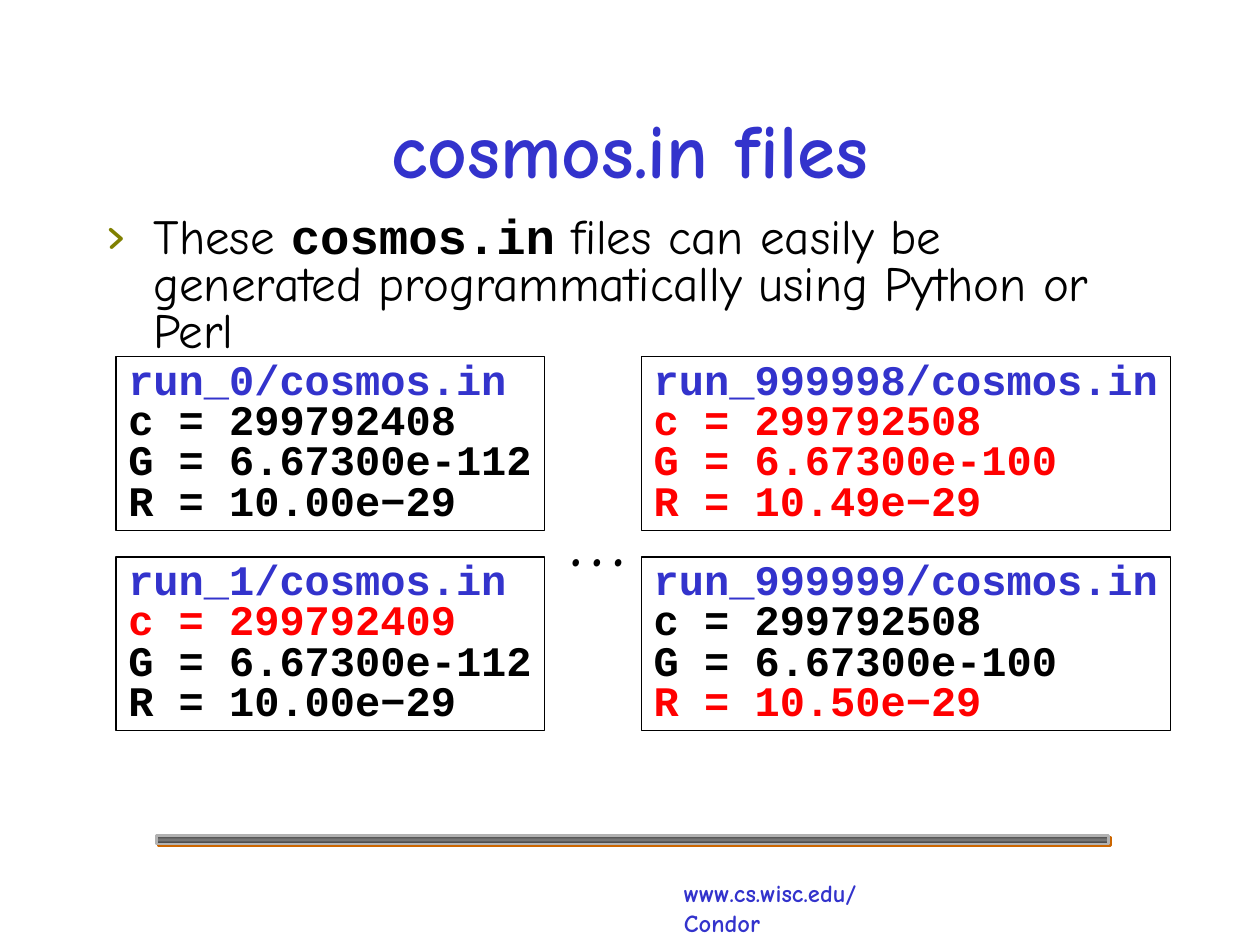
from copy import deepcopy

from lxml.etree import SubElement
from pptx import Presentation
from pptx.dml.color import RGBColor
from pptx.enum.shapes import MSO_SHAPE as Shape
from pptx.enum.text import MSO_ANCHOR as Anchor, MSO_AUTO_SIZE as Fit, PP_ALIGN as Align
from pptx.oxml.ns import qn
from pptx.util import Inches, Pt

BLUE = RGBColor(0x33, 0x33, 0xCC)
BLACK = RGBColor(0, 0, 0)
RED = RGBColor(0xFF, 0, 0)
OLIVE = RGBColor(0x80, 0x80, 0)
DARK = RGBColor(0x36, 0x36, 0x36)
GRAY = RGBColor(0x77, 0x77, 0x77)
SILVER = RGBColor(0xB2, 0xB2, 0xB2)
ORANGE = RGBColor(0xCC, 0x66, 0)
SANS, MONO = "Comic Neue", "Courier New"

# The slide is a grid of square cells
COLS, ROWS = 100, 75
CELL = Inches(0.1)


def place(box):
    """Turn columns and rows into lengths."""
    return [round(n * CELL) for n in box]


def add_run(para, text, size, color, font=SANS, bold=False):
    run = para.add_run()
    run.text = text
    run.font.size, run.font.name, run.font.bold = Pt(size), font, bold
    run.font.color.rgb = color


def add_text(slide, box, wrap=False):
    shape = slide.shapes.add_textbox(*place(box))
    frame = shape.text_frame
    frame.word_wrap = wrap
    frame.auto_size = Fit.NONE if wrap else Fit.SHAPE_TO_FIT_TEXT
    return frame.paragraphs[0]


def add_title(slide, box, text):
    title = slide.shapes.title
    title.left, title.top, title.width, title.height = place(box)
    frame = title.text_frame
    frame.auto_size, frame.vertical_anchor = Fit.NONE, Anchor.MIDDLE
    para = frame.paragraphs[0]
    para.alignment = Align.CENTER
    add_run(para, text, 44, BLUE, bold=True)


def add_point(slide, box, parts):
    """Bulleted sentence; parts pair each text with its font."""
    para = add_text(slide, box, wrap=True)
    para.line_spacing = 0.8
    props = para._p.get_or_add_pPr()
    props.set("marL", str(Inches(0.37)))
    props.set("indent", str(-Inches(0.37)))
    tint = SubElement(props, qn("a:buClr"))
    SubElement(tint, qn("a:srgbClr"), val=str(OLIVE))
    SubElement(props, qn("a:buSzPct"), val="120000")
    SubElement(props, qn("a:buFont"), typeface=SANS)
    SubElement(props, qn("a:buChar"), char="›")
    for text, font in parts:
        add_run(para, text, 28, BLACK, font, bold=font == MONO)


def add_file(slide, box, name, values, changed):
    """Framed listing of one input file; changed keys are red."""
    frame = slide.shapes.add_shape(Shape.RECTANGLE, *place(box))
    frame.shadow.inherit = False
    frame.fill.background()
    frame.line.color.rgb, frame.line.width = BLACK, Pt(0.75)
    text = frame.text_frame
    text.word_wrap, text.auto_size = False, Fit.SHAPE_TO_FIT_TEXT
    text.vertical_anchor = Anchor.TOP
    lines = [(f"{name}/cosmos.in", BLUE)]
    for key, value in zip("cGR", values):
        lines.append((f"{key} = {value}", RED if key in changed else BLACK))
    for i, (line, color) in enumerate(lines):
        para = text.add_paragraph() if i else text.paragraphs[0]
        para.alignment, para.line_spacing = Align.LEFT, 0.8
        add_run(para, line, 24, color, MONO, bold=True)


def add_files(slide, box):
    """Two columns of listings with dots between them."""
    left, top, width, height = box
    tall, step = 13.8, height - 13.8
    groups = [
        (left, 34, [
            ("run_0", ("299792408", "6.67300e-112", "10.00e−29"), ""),
            ("run_1", ("299792409", "6.67300e-112", "10.00e−29"), "c")]),
        (left + width - 42, 42, [
            ("run_999998", ("299792508", "6.67300e-100", "10.49e−29"), "cGR"),
            ("run_999999", ("299792508", "6.67300e-100", "10.50e−29"), "R")]),
    ]
    for x, wide, files in groups:
        for row, item in enumerate(files):
            add_file(slide, (x, top + row * step, wide, tall), *item)
    dots = add_text(slide, (left + 35, top + 7.5, 6.4, 11))
    dots.alignment, dots.line_spacing = Align.CENTER, 1.25
    add_run(dots, "…", 48, BLACK)


def add_bar(slide, box):
    """Metal bar with a hard shadow."""
    bar = slide.shapes.add_shape(Shape.RECTANGLE, *place(box))
    bar.line.color.rgb, bar.line.width = SILVER, Pt(1.5)
    bar.fill.gradient()
    bar.fill.gradient_angle = 90
    first = bar.fill.gradient_stops[0]._gs
    first.addnext(deepcopy(first))
    for stop, spot, color in zip(bar.fill.gradient_stops, (0, 0.5, 1), (DARK, GRAY, DARK)):
        stop.position, stop.color.rgb = spot, color
        stop.color.brightness = 0
    bar.shadow.inherit = False
    effects = bar._element.spPr.find(qn("a:effectLst"))
    shade = SubElement(effects, qn("a:outerShdw"), blurRad="0", dist=str(Pt(1.4)),
                       dir="2700000", algn="ctr", rotWithShape="0")
    SubElement(shade, qn("a:srgbClr"), val=str(ORANGE))


def add_footer(slide, box):
    add_run(add_text(slide, box), "www.cs.wisc.edu/Condor", 14, BLUE, bold=True)


def main():
    deck = Presentation()
    deck.slide_width, deck.slide_height = COLS * CELL, ROWS * CELL
    slide = deck.slides.add_slide(deck.slide_layouts[5])
    add_footer(slide, (53.3, 69.2, 21.7, 3.4))
    add_bar(slide, (12.4, 66.3, 75.6, 0.7))
    add_title(slide, (7.5, 6.7, 85, 10), "cosmos.in files")
    add_point(slide, (7.5, 16.7, 84.9, 12.2), [
        ("These ", SANS), ("cosmos.in", MONO),
        (" files can easily be generated programmatically using Python or Perl", SANS)])
    add_files(slide, (9.2, 28.3, 83.7, 29.7))
    deck.save("out.pptx")


if __name__ == "__main__":
    main()
